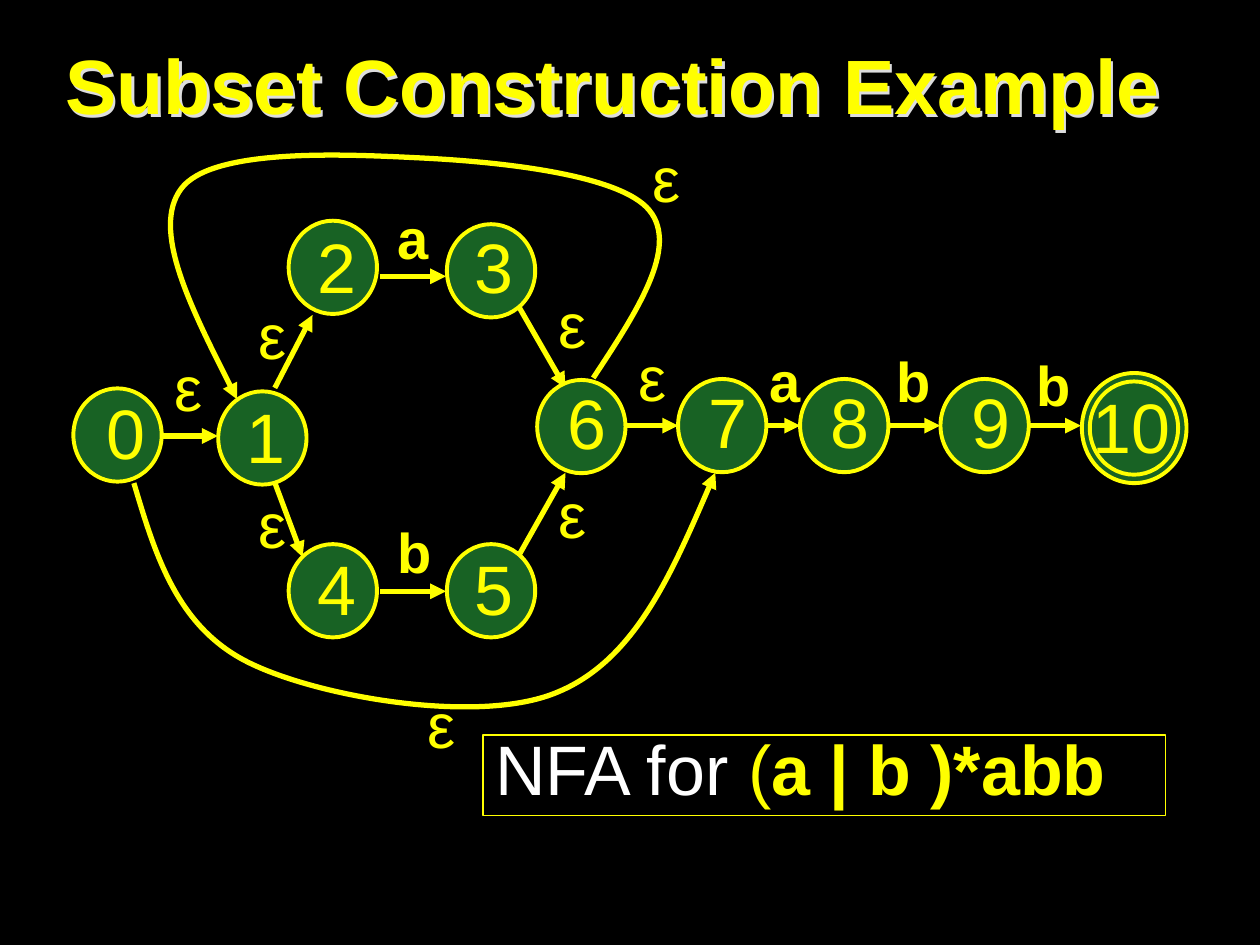
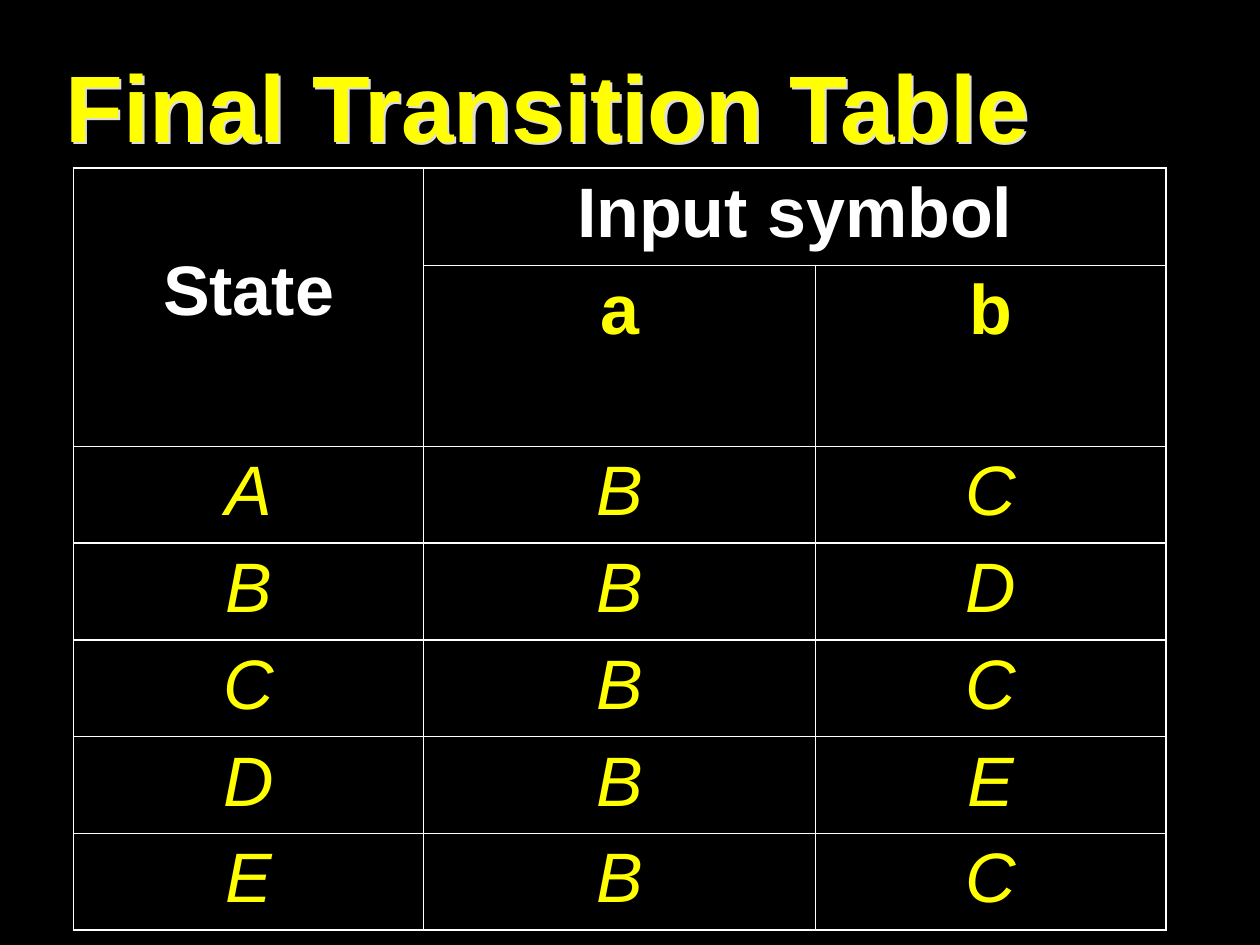
"""Build two slides on subset construction: an NFA diagram and its transition table."""
import typing

import lxml.etree
import pptx
import pptx.dml.color
import pptx.enum.shapes
import pptx.enum.text
import pptx.oxml.ns
import pptx.util

Cm = pptx.util.Cm
Pt = pptx.util.Pt
qn = pptx.oxml.ns.qn

COLOURS = {
    "background": "000000",
    "accent": "FFFF00",
    "plain": "FFFFFF",
    "state": "186224",
    "shadow": "DDDDDD",
}
FONT = "Arial"
STATE_SIZE = (1.78, 1.88)
DIGIT_SIZE = (1.19, 1.63)

Point = tuple[float, float]


class State(typing.NamedTuple):
    name: str
    left: float
    top: float
    digit_left: float
    digit_top: float
    digit_width: float = DIGIT_SIZE[0]


class Arrow(typing.NamedTuple):
    start: Point
    end: Point


class Label(typing.NamedTuple):
    text: str
    left: float
    top: float


class Span(typing.NamedTuple):
    text: str
    size: float
    colour: str = "accent"
    bold: bool = False
    italic: bool = False


STATES = [
    State("0", 1.48, 7.83, 1.9, 8.06),
    State("1", 4.4, 7.89, 4.72, 8.13),
    State("2", 5.82, 4.45, 6.15, 4.7),
    State("3", 9.01, 4.52, 9.31, 4.7),
    State("4", 5.82, 10.97, 6.15, 11.19),
    State("5", 9.01, 10.97, 9.31, 11.19),
    State("6", 10.83, 7.66, 11.2, 7.85),
    State("7", 13.67, 7.64, 14.04, 7.83),
    State("8", 16.13, 7.64, 16.5, 7.83),
    State("9", 18.96, 7.64, 19.33, 7.83),
    State("10", 21.97, 7.69, 21.78, 7.94, 2.15),
]
ACCEPTING_RING = (21.81, 7.52, 2.11, 2.22)

ARROWS = [
    Arrow((3.28, 8.79), (4.39, 8.79)),
    Arrow((5.54, 7.82), (6.3, 6.35)),
    Arrow((5.54, 9.73), (6.1, 11.23)),
    Arrow((7.67, 5.57), (8.99, 5.57)),
    Arrow((7.67, 11.92), (8.99, 11.92)),
    Arrow((10.44, 6.15), (11.4, 7.82)),
    Arrow((10.44, 11.23), (11.4, 9.53)),
    Arrow((12.52, 8.58), (13.67, 8.58)),
    Arrow((14.99, 8.58), (16.13, 8.58)),
    Arrow((17.81, 8.58), (18.95, 8.58)),
    Arrow((20.65, 8.58), (21.79, 8.58)),
]

LABELS = [
    Label("ε", 3.27, 7.2),
    Label("ε", 4.97, 6.15),
    Label("ε", 4.97, 9.96),
    Label("ε", 11.01, 9.75),
    Label("ε", 11.01, 5.92),
    Label("ε", 12.9, 2.98),
    Label("ε", 8.37, 13.98),
    Label("ε", 12.62, 6.99),
    Label("a", 7.77, 4.25),
    Label("b", 7.77, 10.58),
    Label("a", 15.27, 7.13),
    Label("b", 17.82, 7.13),
    Label("b", 20.65, 7.2),
]

REPEAT_LOOP = [
    (11.96, 7.62), (12.83, 6.3), (13.7, 4.98), (13.09, 4.24),
    (12.49, 3.5), (9.96, 3.25), (8.38, 3.18),
    (6.81, 3.1), (4.24, 3.0), (3.65, 3.81),
    (3.05, 4.62), (3.91, 6.33), (4.78, 8.05),
]
SKIP_LOOP = [
    (2.7, 9.74), (3.13, 11.18), (3.56, 12.62), (4.98, 13.34),
    (6.38, 14.05), (9.63, 14.61), (11.2, 13.97),
    (12.78, 13.34), (13.6, 11.43), (14.42, 9.53),
]

TRANSITIONS = ["ABC", "BBD", "CBC", "DBE", "EBC"]
COLUMN_WIDTHS = [7.06, 7.9, 7.06]
ROW_HEIGHTS = [1.96, 3.65] + [1.95] * len(TRANSITIONS)


def rgb(name: str) -> pptx.dml.color.RGBColor:
    return pptx.dml.color.RGBColor.from_string(COLOURS[name])


def lengths(*values: float) -> list[pptx.util.Length]:
    return [Cm(value) for value in values]


def add_span(para, span: Span) -> None:
    run = para.add_run()
    run.text = span.text
    run.font.name = FONT
    run.font.size = Pt(span.size)
    run.font.bold = span.bold
    run.font.italic = span.italic
    run.font.color.rgb = rgb(span.colour)


def fill_box(box, spans: list[Span]) -> None:
    frame = box.text_frame
    frame.word_wrap = True
    frame.vertical_anchor = pptx.enum.text.MSO_ANCHOR.TOP
    para = frame.paragraphs[0]
    para.alignment = pptx.enum.text.PP_ALIGN.LEFT
    para.line_spacing = 0.8
    for span in spans:
        add_span(para, span)


def add_text(page, area: tuple[float, ...], span: Span) -> None:
    fill_box(page.shapes.add_textbox(*lengths(*area)), [span])


def add_title_page(deck, title: str, size: float, top: float):
    page = deck.slides.add_slide(deck.slide_layouts[5])
    box = page.shapes.title
    box.left, box.top, box.width, box.height = lengths(1.07, top, 24.56, 2.11)
    box.fill.background()
    box.line.fill.background()
    effects = lxml.etree.SubElement(box._element.spPr, qn("a:effectLst"))
    shadow = lxml.etree.SubElement(
        effects, qn("a:outerShdw"), dist="22860", dir="2700000", algn="ctr")
    lxml.etree.SubElement(shadow, qn("a:srgbClr"), val=COLOURS["shadow"])
    frame = box.text_frame
    frame.auto_size = pptx.enum.text.MSO_AUTO_SIZE.NONE
    frame.vertical_anchor = pptx.enum.text.MSO_ANCHOR.MIDDLE
    para = frame.paragraphs[0]
    para.alignment = pptx.enum.text.PP_ALIGN.LEFT
    add_span(para, Span(title, size, bold=True))
    return page


def style_arrow(line_shape) -> None:
    line_shape.line.color.rgb = rgb("accent")
    line_shape.line.width = Pt(3)
    properties = line_shape._element.spPr
    lxml.etree.SubElement(properties.find(qn("a:ln")), qn("a:tailEnd"), type="triangle")


def add_arrow(page, arrow: Arrow) -> None:
    connector = page.shapes.add_connector(
        pptx.enum.shapes.MSO_CONNECTOR.STRAIGHT, *lengths(*arrow.start, *arrow.end))
    style_arrow(connector)
    lxml.etree.SubElement(connector._element.spPr, qn("a:effectLst"))


def add_loop(page, controls: list[Point]) -> None:
    start, *others = [tuple(lengths(*point)) for point in controls]
    builder = page.shapes.build_freeform(*start)
    builder.add_line_segments(others, close=False)
    loop = builder.convert_to_shape()
    loop.shadow.inherit = False
    loop.fill.background()
    style_arrow(loop)
    outline = next(loop._element.iter(qn("a:path")))
    segments = outline.findall(qn("a:lnTo"))
    for first in range(0, len(segments), 3):
        curve = lxml.etree.SubElement(outline, qn("a:cubicBezTo"))
        for segment in segments[first:first + 3]:
            curve.append(segment[0])
            outline.remove(segment)


def add_circle(page, area: tuple[float, ...]) -> None:
    circle = page.shapes.add_shape(pptx.enum.shapes.MSO_SHAPE.OVAL, *lengths(*area))
    circle.shadow.inherit = False
    circle.fill.solid()
    circle.fill.fore_color.rgb = rgb("state")
    circle.line.color.rgb = rgb("accent")
    circle.line.width = Pt(2.25)


def add_label(page, label: Label) -> None:
    if label.text == "ε":
        add_text(page, (label.left, label.top, 0.94, 1.47), Span(label.text, 36))
    else:
        add_text(page, (label.left, label.top, 1.42, 1.35), Span(label.text, 32, bold=True))


def add_caption(page) -> None:
    box = page.shapes.add_shape(
        pptx.enum.shapes.MSO_SHAPE.RECTANGLE, *lengths(9.74, 14.82, 13.76, 1.62))
    box.shadow.inherit = False
    box.fill.background()
    box.line.color.rgb = rgb("accent")
    box.line.width = Pt(0.75)
    fill_box(box, [Span("NFA for", 40, "plain"), Span(" (", 40),
                   Span("a | b )*abb", 40, bold=True)])


def build_diagram(deck) -> None:
    page = add_title_page(deck, "Subset Construction Example", 44, 0.64)
    add_caption(page)
    for arrow in ARROWS:
        add_arrow(page, arrow)
    add_circle(page, ACCEPTING_RING)
    for state in STATES:
        add_circle(page, (state.left, state.top, *STATE_SIZE))
        add_text(page, (state.digit_left, state.digit_top, state.digit_width, DIGIT_SIZE[1]),
                 Span(state.name, 40))
    for label in LABELS:
        add_label(page, label)
    for loop in (REPEAT_LOOP, SKIP_LOOP):
        add_loop(page, loop)


def style_cell(cell) -> None:
    properties = cell._tc.get_or_add_tcPr()
    for side in ("a:lnL", "a:lnR", "a:lnT", "a:lnB"):
        border = lxml.etree.SubElement(properties, qn(side), w=str(Pt(1.08)))
        fill = lxml.etree.SubElement(border, qn("a:solidFill"))
        lxml.etree.SubElement(fill, qn("a:srgbClr"), val=COLOURS["plain"])
    cell.fill.background()


def write_cell(cell, span: Span) -> None:
    para = cell.text_frame.paragraphs[0]
    para.alignment = pptx.enum.text.PP_ALIGN.CENTER
    add_span(para, span)


def build_table(deck) -> None:
    page = add_title_page(deck, "Final Transition Table", 54, 1.06)
    frame = page.shapes.add_table(
        len(ROW_HEIGHTS), len(COLUMN_WIDTHS),
        *lengths(1.48, 3.39, sum(COLUMN_WIDTHS), sum(ROW_HEIGHTS)))
    table = frame.table
    table.first_row = table.horz_banding = False
    for column, width in zip(table.columns, COLUMN_WIDTHS):
        column.width = Cm(width)
    for row, height in zip(table.rows, ROW_HEIGHTS):
        row.height = Cm(height)
    for cell in table.iter_cells():
        style_cell(cell)
    table.cell(0, 0).merge(table.cell(1, 0))
    table.cell(0, 1).merge(table.cell(0, 2))
    table.cell(0, 0).margin_top = Cm(1.69)
    write_cell(table.cell(0, 0), Span("State", 40, "plain", bold=True))
    write_cell(table.cell(0, 1), Span("Input symbol", 40, "plain", bold=True))
    for column, symbol in enumerate("ab", start=1):
        write_cell(table.cell(1, column), Span(symbol, 40, bold=True))
    for row, states in enumerate(TRANSITIONS, start=2):
        for column, state in enumerate(states):
            write_cell(table.cell(row, column), Span(state, 40, italic=True))


def main() -> None:
    deck = pptx.Presentation()
    deck.slide_width, deck.slide_height = lengths(25.4, 19.05)
    backdrop = deck.slide_master.background.fill
    backdrop.solid()
    backdrop.fore_color.rgb = rgb("background")
    build_diagram(deck)
    build_table(deck)
    deck.save("out.pptx")


if __name__ == "__main__":
    main()
